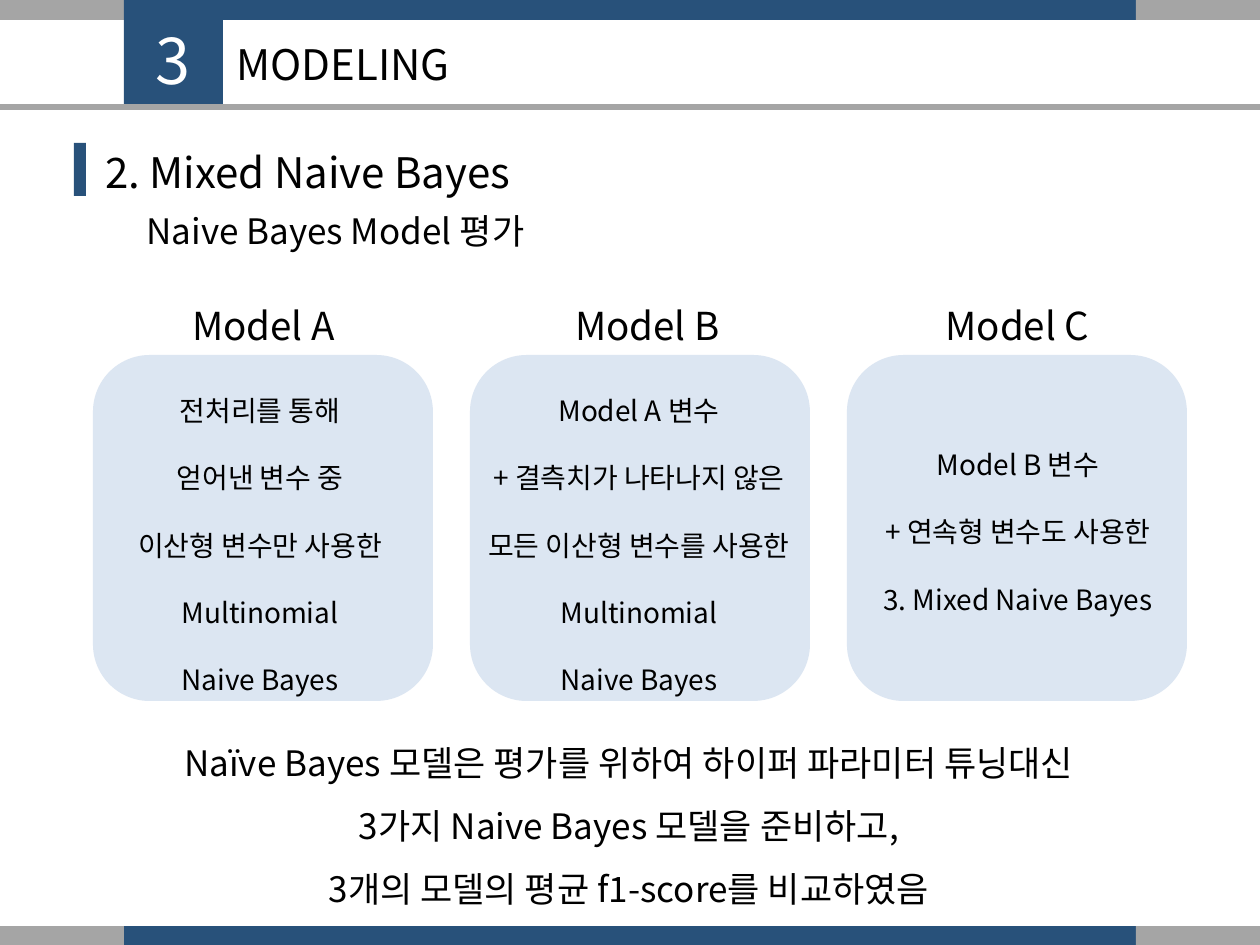
from dataclasses import dataclass

from lxml.etree import SubElement
from pptx import Presentation
from pptx.dml.color import RGBColor
from pptx.enum.shapes import MSO_SHAPE
from pptx.enum.text import MSO_ANCHOR, PP_ALIGN
from pptx.oxml.ns import qn
from pptx.util import Inches, Pt

PX = Inches(1) / 126


@dataclass(frozen=True)
class Theme:
    font: str = "Noto Sans CJK KR"
    navy: str = "28517A"
    gray: str = "A5A5A5"
    card: str = "DCE6F2"
    black: str = "000000"
    white: str = "FFFFFF"
    number: int = 36
    title: int = 24
    model: int = 22
    lead: int = 20
    body: int = 16


theme = Theme()
deck = Presentation()
deck.slide_width, deck.slide_height = Inches(10), Inches(7.5)
slide = deck.slides.add_slide(deck.slide_layouts[5])


def emu(box):
    return [round(length * PX) for length in box]


def write(text, box, size, color=theme.black, align=PP_ALIGN.LEFT,
          spacing=1.0, anchor=MSO_ANCHOR.TOP, holder=None):
    holder = holder or slide.shapes.add_textbox(0, 0, 0, 0)
    holder.left, holder.top, holder.width, holder.height = emu(box)
    frame = holder.text_frame
    frame.word_wrap = True
    frame.vertical_anchor = anchor
    frame.text = text
    for paragraph in frame.paragraphs:
        paragraph.alignment = align
        paragraph.line_spacing = spacing
        for run in paragraph.runs:
            run.font.name = theme.font
            run.font.size = Pt(size)
            run.font.color.rgb = RGBColor.from_string(color)
            # Hangul takes its typeface from the East Asian slot
            SubElement(run.font._element, qn("a:ea"), typeface=theme.font)


# Bands, header rule, section block, heading marker and model cards
RECT, ROUND = MSO_SHAPE.RECTANGLE, MSO_SHAPE.ROUNDED_RECTANGLE
blocks = []
for band_top, band_height in [(0, 20), (926, 19)]:
    for left, width, color in [(124, 1016, theme.navy), (0, 124, theme.gray),
                               (1136, 124, theme.gray)]:
        blocks.append((RECT, (left, band_top, width, band_height), color))
blocks += [
    (RECT, (124, 0, 99, 104), theme.navy),
    (RECT, (0, 104, 1260, 6), theme.gray),
    (RECT, (74, 143, 12, 53), theme.navy),
]
blocks += [(ROUND, (93 + 377 * column, 355, 340, 346), theme.card)
           for column in range(3)]
for kind, box, color in blocks:
    block = slide.shapes.add_shape(kind, *emu(box))
    block.shadow.inherit = False
    block.fill.solid()
    block.fill.fore_color.rgb = RGBColor.from_string(color)
    block.line.fill.background()

# Section number, slide title and headings
write("3", (118, 15, 110, 90), theme.number, color=theme.white,
      align=PP_ALIGN.CENTER)
write("MODELING", (224, 18, 791, 91), theme.title,
      anchor=MSO_ANCHOR.MIDDLE, holder=slide.shapes.title)
write("2. Mixed Naive Bayes", (93, 140, 567, 63), theme.title)
write("Naive Bayes Model 평가", (134, 203, 869, 55), theme.lead)

# Three models: name, name left, description top, description
models = [
    ("Model A", 76, 354,
     "전처리를 통해\n얻어낸 변수 중\n이산형 변수만 사용한\nMultinomial\nNaive Bayes"),
    ("Model B", 460, 354,
     "Model A 변수\n+ 결측치가 나타나지 않은\n모든 이산형 변수를 사용한\n"
     "Multinomial\nNaive Bayes"),
    ("Model C", 830, 408,
     "Model B 변수\n+ 연속형 변수도 사용한\n3. Mixed Naive Bayes"),
]
for column, (model, model_left, top, description) in enumerate(models):
    write(model, (model_left, 296, 375, 59), theme.model,
          align=PP_ALIGN.CENTER)
    write(description, (63 + 379 * column, top, 394, 697 - top), theme.body,
          align=PP_ALIGN.CENTER, spacing=2.0)

# Conclusion
write("Naïve Bayes 모델은 평가를 위하여 하이퍼 파라미터 튜닝대신\n"
      "3가지 Naive Bayes 모델을 준비하고,\n"
      "3개의 모델의 평균 f1-score를 비교하였음",
      (29, 714, 1200, 198), theme.lead, align=PP_ALIGN.CENTER, spacing=1.5)

deck.save("out.pptx")
